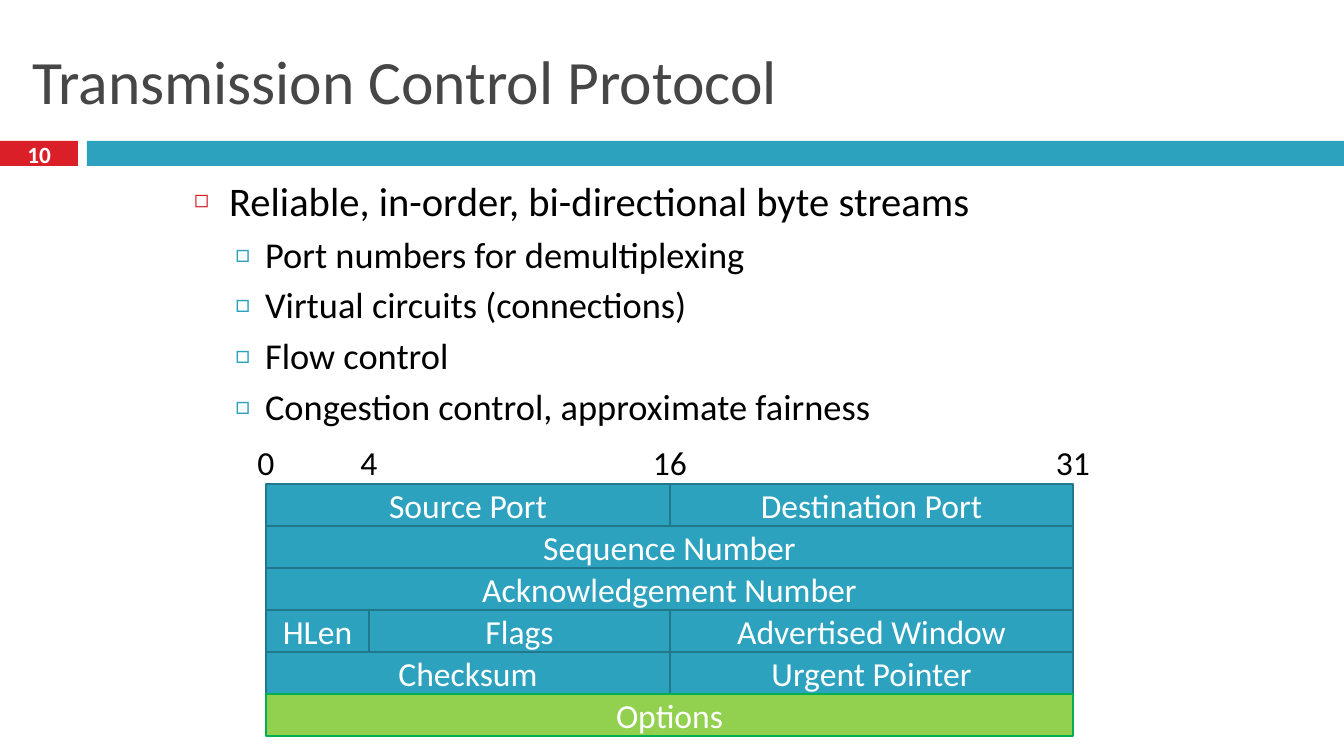
from lxml.etree import SubElement
from pptx import Presentation
from pptx.dml.color import RGBColor
from pptx.enum.shapes import MSO_SHAPE as Shape
from pptx.enum.text import MSO_ANCHOR as Anchor, MSO_AUTO_SIZE as AutoSize, PP_ALIGN as Align
from pptx.oxml.ns import qn
from pptx.util import Emu, Pt

# Content
TITLE = "Transmission Control Protocol"
PAGE_NUMBER = "10"
BULLETS = [
    (0, "Reliable, in-order, bi-directional byte streams"),
    (1, "Port numbers for demultiplexing"),
    (1, "Virtual circuits (connections)"),
    (1, "Flow control"),
    (1, "Congestion control, approximate fairness"),
]
# Header rows: (first bit, last bit, field name)
HEADER_ROWS = [
    [(0, 16, "Source Port"), (16, 31, "Destination Port")],
    [(0, 31, "Sequence Number")],
    [(0, 31, "Acknowledgement Number")],
    [(0, 4, "HLen"), (4, 16, "Flags"), (16, 31, "Advertised Window")],
    [(0, 16, "Checksum"), (16, 31, "Urgent Pointer")],
    [(0, 31, "Options")],
]

# Style and layout, lengths in px
FONT = "Calibri"
RED, TEAL, DARK_TEAL = "DA1F28", "2DA2BF", "21788D"
LIGHT_GREEN, GREEN = "92D050", "00B050"
WHITE, BLACK, GRAY = "FFFFFF", "000000", "464646"
BIT_EDGES = {0: 266, 4: 369, 16: 670, 31: 1073}
HEADER_TOP, ROW_HEIGHT = 484, 42
LABEL_TOP, LABEL_SIZE = 429, 66
# Per level: size, space before, left, hanging, bullet, bullet colour, bullet percent
LEVELS = [
    (29, 7, 35, 35, "◻", RED, 60),
    (26, 5, 71, 30, "□", TEAL, 70),
]


def px(length):
    return Emu(round(length * 914400 / 100.8))


def color(value):
    return RGBColor.from_string(value)


def write(paragraph, text, size, fill=BLACK, bold=False, align=Align.LEFT):
    paragraph.alignment = align
    run = paragraph.add_run()
    run.text = text
    run.font.name, run.font.size, run.font.bold = FONT, Pt(size), bold
    run.font.color.rgb = color(fill)


def place(shape, left, top, width, height, anchor=Anchor.MIDDLE):
    shape.left, shape.top = px(left), px(top)
    shape.width, shape.height = px(width), px(height)
    frame = shape.text_frame
    frame.word_wrap, frame.auto_size = True, AutoSize.NONE
    frame.vertical_anchor = anchor
    return frame


def add_rectangle(left, top, width, height, fill, line=None):
    shape = slide.shapes.add_shape(
        Shape.RECTANGLE, px(left), px(top), px(width), px(height))
    shape.shadow.inherit = False
    shape.fill.solid()
    shape.fill.fore_color.rgb = color(fill)
    if line:
        shape.line.color.rgb = color(line)
        shape.line.width = Pt(1.5)
    else:
        shape.line.fill.background()
    return shape


def add_label(text, left, top, width, height, size, **style):
    frame = place(slide.shapes.add_textbox(0, 0, 0, 0), left, top, width, height)
    write(frame.paragraphs[0], text, size, align=Align.CENTER, **style)


def add_bullet(paragraph, level, text):
    size, before, left, hanging, bullet, bullet_color, percent = LEVELS[level]
    paragraph.level = level
    paragraph.space_before = Pt(before)
    write(paragraph, text, size)
    properties = paragraph._p.get_or_add_pPr()
    properties.set("marL", str(px(left)))
    properties.set("indent", str(-px(hanging)))
    bullet_fill = SubElement(properties, qn("a:buClr"))
    SubElement(bullet_fill, qn("a:srgbClr"), val=bullet_color)
    SubElement(properties, qn("a:buSzPct"), val=str(percent * 1000))
    SubElement(properties, qn("a:buFont"), typeface=FONT)
    SubElement(properties, qn("a:buChar"), char=bullet)


presentation = Presentation()
presentation.slide_width, presentation.slide_height = px(1344), px(756)
slide = presentation.slides.add_slide(presentation.slide_layouts[1])

# Title and page number band
title_frame = place(slide.shapes.title, 22, 25, 1300, 109)
write(title_frame.paragraphs[0], TITLE, 44, fill=GRAY)
add_rectangle(0, 141, 78, 25, RED)
add_rectangle(87, 141, 1257, 25, TEAL)
add_label(PAGE_NUMBER, 0, 138, 78, 33, 16.6, fill=WHITE, bold=True)

# Bullet list
body_frame = place(slide.placeholders[1], 184, 171, 975, 275, Anchor.TOP)
for index, (level, text) in enumerate(BULLETS):
    paragraph = body_frame.add_paragraph() if index else body_frame.paragraphs[0]
    add_bullet(paragraph, level, text)

# Bit positions
for bit, edge in BIT_EDGES.items():
    add_label(str(bit), edge - LABEL_SIZE / 2, LABEL_TOP, LABEL_SIZE, LABEL_SIZE, 24)

# Header fields
for row, fields in enumerate(HEADER_ROWS):
    for first, last, name in fields:
        fill, line = (LIGHT_GREEN, GREEN) if name == "Options" else (TEAL, DARK_TEAL)
        left, top = BIT_EDGES[first], HEADER_TOP + row * ROW_HEIGHT
        width = BIT_EDGES[last] - left
        field = add_rectangle(left, top, width, ROW_HEIGHT, fill, line)
        frame = place(field, left, top, width, ROW_HEIGHT)
        write(frame.paragraphs[0], name, 24, fill=WHITE, align=Align.CENTER)

presentation.save("out.pptx")
